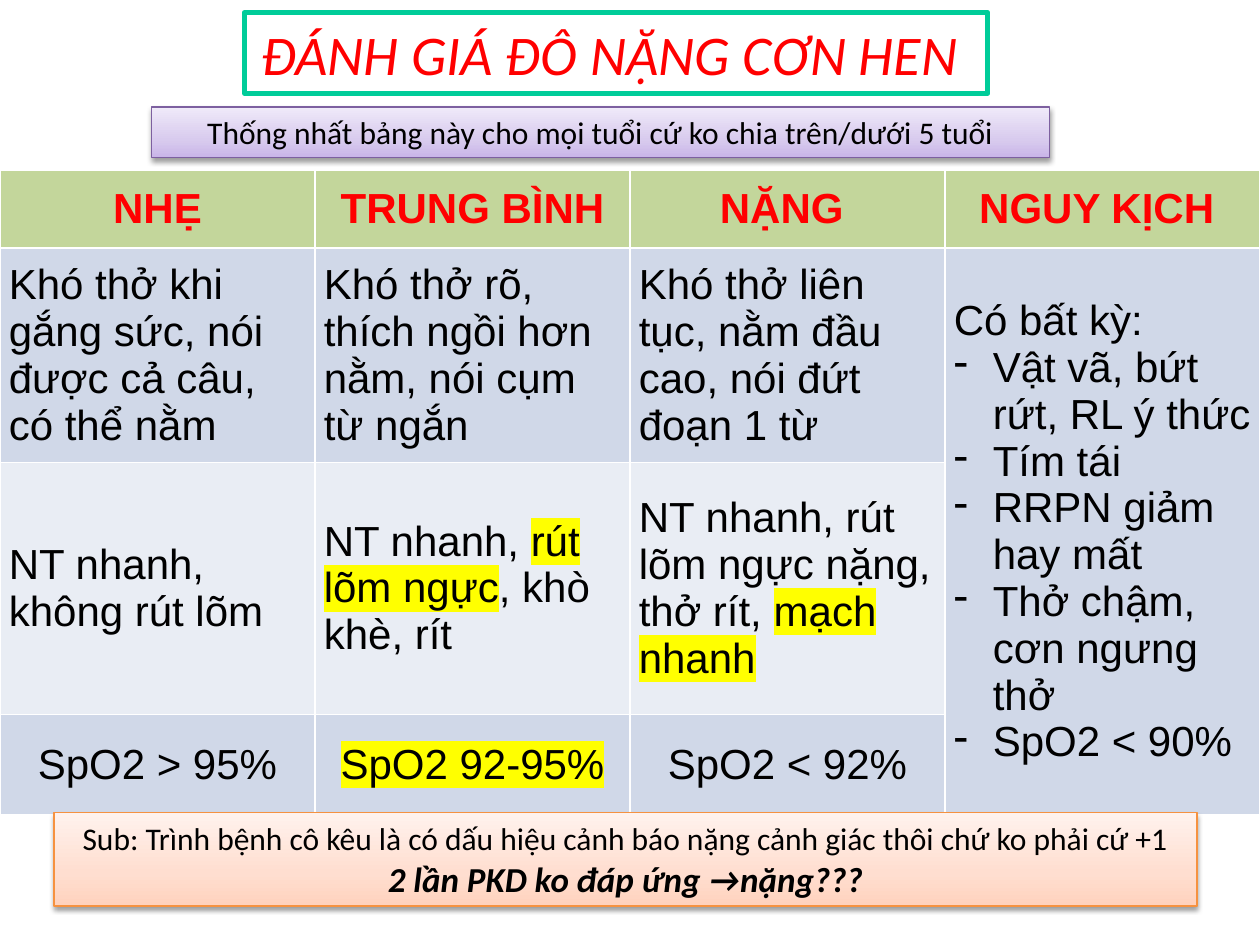
from dataclasses import dataclass

from lxml import etree
from pptx import Presentation
from pptx import util as u
from pptx.dml.color import RGBColor
from pptx.enum import shapes, text
from pptx.oxml.ns import qn


@dataclass(frozen=True)
class Theme:
    heading_font: str = "Calibri"
    table_font: str = "Arial"
    title_size: int = 32
    table_size: int = 24
    note_size: int = 18
    strong_size: int = 20
    red: str = "FF0000"
    black: str = "000000"
    frame: str = "00CC99"
    highlight: str = "FFFF00"
    header_fill: str = "C3D69B"
    band_fills: tuple = ("D0D8E8", "E9EDF4")
    purple: tuple = ("C9B5E8", "D8CBEE", "F0EAF9")
    purple_line: str = "7D60A0"
    orange: tuple = ("FFD2BD", "FFDED0", "FFF2ED")
    orange_line: str = "F69240"


THEME = Theme()
WIDTH, HEIGHT = 10, 7.5

TITLE = "ĐÁNH GIÁ ĐÔ NẶNG CƠN HEN "
SCOPE_NOTE = [("Thống nhất bảng này cho mọi tuổi cứ ko chia trên/dưới 5 tuổi", {})]
WARNING_NOTE = [
    ("Sub: Trình bệnh cô kêu là có dấu hiệu cảnh báo nặng cảnh giác thôi chứ ko phải cứ +1", {}),
    ("2 lần PKD ko đáp ứng →nặng???",
     {"size": THEME.strong_size, "bold": True, "italic": True}),
]

LEVELS = ["NHẸ", "TRUNG BÌNH", "NẶNG ", "NGUY KỊCH "]
# Each sign is a list of runs; a run in a tuple is highlighted.
SIGNS = [
    [["Khó thở khi gắng sức, nói được cả câu, có thể nằm"],
     ["Khó thở rõ, thích ngồi hơn nằm, nói cụm từ ngắn"],
     ["Khó thở liên tục, nằm đầu cao, nói đứt đoạn 1 từ"]],
    [["NT nhanh, không rút lõm"],
     ["NT nhanh, ", ("rút lõm ngực",), ", khò khè, rít"],
     ["NT nhanh, rút lõm ngực nặng, thở rít, ", ("mạch nhanh",)]],
    [["SpO2 > 95%"], [("SpO2 92-95%",)], ["SpO2 < 92%"]],
]
CRITICAL_LEAD = "Có bất kỳ:"
CRITICAL_SIGNS = ["Vật vã, bứt rứt, RL ý thức", "Tím tái", "RRPN giảm hay mất",
                  "Thở chậm, cơn ngưng thở", "SpO2 < 90%"]

TABLE_TOP = 1.35
ROW_HEIGHTS = [0.62, 1.7, 2, 0.8]
BULLET_INDENT = 0.31


def rgb(value):
    return RGBColor.from_string(value)


def add_run(paragraph, words, font_name, size, color=THEME.black,
            bold=False, italic=False, highlight=None):
    run = paragraph.add_run()
    run.text = words
    font = run.font
    font.size, font.bold, font.italic = u.Pt(size), bold, italic
    font.color.rgb = rgb(color)
    if highlight:  # must sit between the text fill and the typeface
        mark = etree.SubElement(run._r.get_or_add_rPr(), qn("a:highlight"))
        etree.SubElement(mark, qn("a:srgbClr"), val=highlight)
    font.name = font_name


def add_table_run(paragraph, words, **style):
    add_run(paragraph, words, THEME.table_font, THEME.table_size, **style)


def add_bullet(paragraph):
    indent = u.Inches(BULLET_INDENT)
    props = paragraph._p.get_or_add_pPr()
    props.set("marL", str(indent))
    props.set("indent", str(-indent))
    etree.SubElement(props, qn("a:buChar"), char="-")


def place(shape, left, top, width, height):
    shape.left, shape.top = u.Inches(left), u.Inches(top)
    shape.width, shape.height = u.Inches(width), u.Inches(height)


def add_title(slide):
    title = slide.shapes.title
    place(title, 1.94, 0.1, 5.9, 0.64)
    title.line.color.rgb = rgb(THEME.frame)
    title.line.width = u.Pt(3)
    frame = title.text_frame
    frame.word_wrap = False
    frame.auto_size = text.MSO_AUTO_SIZE.NONE
    frame.vertical_anchor = text.MSO_ANCHOR.MIDDLE
    paragraph = frame.paragraphs[0]
    paragraph.alignment = text.PP_ALIGN.CENTER
    add_run(paragraph, TITLE, THEME.heading_font, THEME.title_size,
            THEME.red, italic=True)


def fill_upward(shape, colors):
    """Three-stop gradient that runs from the bottom edge to the top."""
    shape.fill.gradient()
    shape.fill.gradient_angle = 90
    stops = shape._element.spPr.find(".//" + qn("a:gsLst"))
    for stop in list(stops):
        stops.remove(stop)
    for share, color in zip((0, 35, 100), colors):
        stop = etree.SubElement(stops, qn("a:gs"), pos=str(share * 1000))
        etree.SubElement(stop, qn("a:srgbClr"), val=color)


def add_soft_shadow(shape):
    shape.shadow.inherit = False
    effects = shape._element.spPr.find(qn("a:effectLst"))
    shadow = etree.SubElement(
        effects, qn("a:outerShdw"), blurRad=str(u.Pt(3.1)), dist=str(u.Pt(1.6)),
        dir="5400000", rotWithShape="0")
    color = etree.SubElement(shadow, qn("a:srgbClr"), val=THEME.black)
    etree.SubElement(color, qn("a:alpha"), val="38000")


def add_note(slide, box, lines, colors, line_color):
    note = slide.shapes.add_shape(shapes.MSO_SHAPE.RECTANGLE, 0, 0, 0, 0)
    place(note, *box)
    fill_upward(note, colors)
    note.line.color.rgb = rgb(line_color)
    note.line.width = u.Pt(0.75)
    add_soft_shadow(note)
    frame = note.text_frame
    frame.word_wrap = True
    frame.vertical_anchor = text.MSO_ANCHOR.MIDDLE
    for index, (words, style) in enumerate(lines):
        paragraph = frame.add_paragraph() if index else frame.paragraphs[0]
        paragraph.alignment = text.PP_ALIGN.CENTER
        add_run(paragraph, words, THEME.heading_font,
                **{"size": THEME.note_size, **style})


def style_cell(cell, color):
    cell.fill.solid()
    cell.fill.fore_color.rgb = rgb(color)
    cell.vertical_anchor = text.MSO_ANCHOR.MIDDLE
    cell.margin_left = cell.margin_right = u.Inches(0.07)
    cell.margin_top = cell.margin_bottom = u.Inches(0.05)


def add_severity_table(slide):
    table = slide.shapes.add_table(
        len(ROW_HEIGHTS), len(LEVELS), 0, u.Inches(TABLE_TOP),
        u.Inches(WIDTH), u.Inches(sum(ROW_HEIGHTS))).table
    for row, height in zip(table.rows, ROW_HEIGHTS):
        row.height = u.Inches(height)
    fills = [THEME.header_fill] + [THEME.band_fills[i % 2] for i in range(len(SIGNS))]
    for row, color in zip(table.rows, fills):
        for cell in row.cells:
            style_cell(cell, color)

    for column, level in enumerate(LEVELS):
        paragraph = table.cell(0, column).text_frame.paragraphs[0]
        paragraph.alignment = text.PP_ALIGN.CENTER
        add_table_run(paragraph, level, color=THEME.red, bold=True)

    for row, signs in enumerate(SIGNS, 1):
        for column, runs in enumerate(signs):
            paragraph = table.cell(row, column).text_frame.paragraphs[0]
            if row == len(SIGNS):
                paragraph.alignment = text.PP_ALIGN.CENTER
            for part in runs:
                marked = isinstance(part, tuple)
                add_table_run(paragraph, part[0] if marked else part,
                              highlight=THEME.highlight if marked else None)

    last = len(LEVELS) - 1
    critical = table.cell(1, last)
    critical.merge(table.cell(len(SIGNS), last))
    add_table_run(critical.text_frame.paragraphs[0], CRITICAL_LEAD)
    for sign in CRITICAL_SIGNS:
        paragraph = critical.text_frame.add_paragraph()
        add_bullet(paragraph)
        add_table_run(paragraph, sign)


def main():
    deck = Presentation()
    deck.slide_width, deck.slide_height = u.Inches(WIDTH), u.Inches(HEIGHT)
    slide = deck.slides.add_slide(deck.slide_layouts.get_by_name("Title Only"))
    add_title(slide)
    add_note(slide, (1.2, 0.85, 7.13, 0.4), SCOPE_NOTE, THEME.purple, THEME.purple_line)
    add_severity_table(slide)
    add_note(slide, (0.43, 6.45, 9.07, 0.74), WARNING_NOTE, THEME.orange, THEME.orange_line)
    deck.save("out.pptx")


if __name__ == "__main__":
    main()
